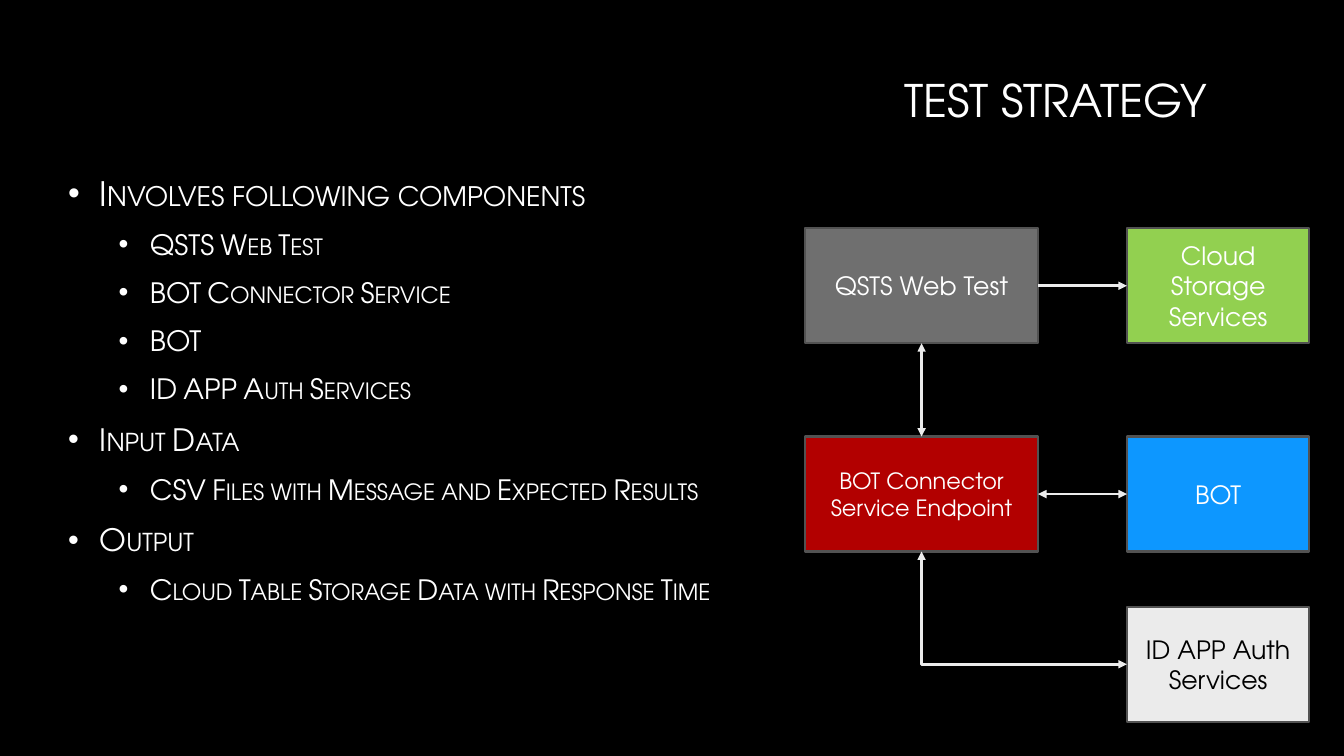
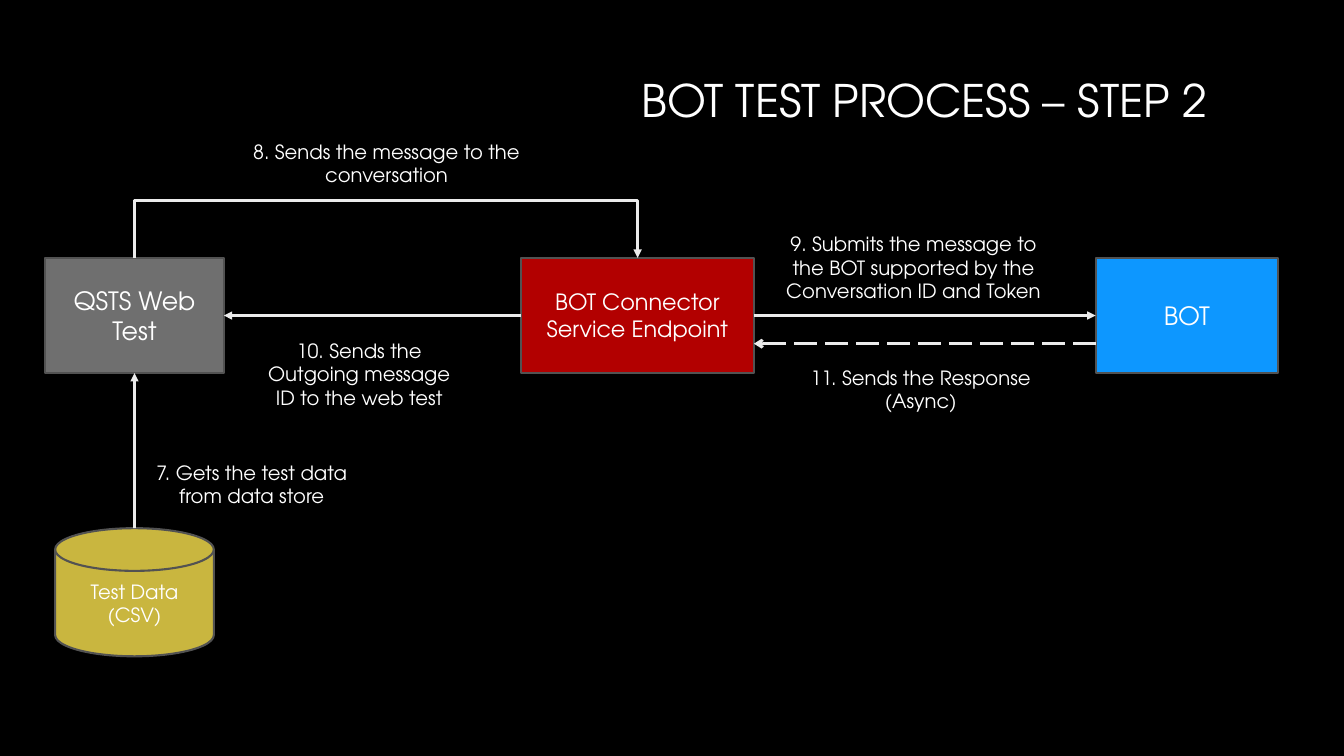
"""Build two slides on testing a bot: the strategy and step 2 of the process."""
from lxml import etree
from pptx import Presentation
from pptx import util as u
from pptx.dml import color
from pptx.enum import dml, shapes, text
from pptx.oxml import ns

WHITE, BLACK, PALE, EDGE = "FFFFFF", "000000", "EBEBEB", "525252"
GREY, RED, BLUE, GREEN, GOLD = "6F6F6F", "B20000", "0D97FF", "92D050", "C9B63F"
RECT = shapes.MSO_SHAPE.RECTANGLE
DISK = shapes.MSO_SHAPE.FLOWCHART_MAGNETIC_DISK
STRAIGHT, ELBOW = shapes.MSO_CONNECTOR.STRAIGHT, shapes.MSO_CONNECTOR.ELBOW
CENTER, MIDDLE = text.PP_ALIGN.CENTER, text.MSO_ANCHOR.MIDDLE
TOP, LEFT, BOTTOM, RIGHT = range(4)
ONE_WAY = {"tailEnd": "triangle"}
TWO_WAY = {"headEnd": "triangle", "tailEnd": "triangle"}
rgb = color.RGBColor.from_string


def add_block(slide, place, lines, size, fill=None, ink=WHITE, kind=RECT,
              align=CENTER, anchor=text.MSO_ANCHOR.TOP):
    """Add a text box, or a filled and outlined shape when a fill is given."""
    area = [u.Cm(length) for length in place]
    if fill:
        block = slide.shapes.add_shape(kind, *area)
        block.shadow.inherit = False
        block.fill.solid()
        block.fill.fore_color.rgb = rgb(fill)
        block.line.color.rgb = rgb(EDGE)
        block.line.width = u.Pt(1.5)
        anchor = MIDDLE
    else:
        block = slide.shapes.add_textbox(*area)
    frame = block.text_frame
    frame.word_wrap = True
    frame.vertical_anchor = anchor
    frame.text = "\n".join(lines)
    for paragraph in frame.paragraphs:
        paragraph.alignment = align
        font = paragraph.runs[0].font
        for name, value in {"name": "TeX Gyre Adventor", "size": u.Pt(size)}.items():
            setattr(font, name, value)
        font.color.rgb = rgb(ink)
    return block


def style_arrow(arrow, ends, dash=None):
    """Give a connector or an open outline its colour, dash and arrowheads."""
    arrow.line.color.rgb = rgb(PALE)
    for name, value in {"width": u.Pt(2), "dash_style": dash}.items():
        setattr(arrow.line, name, value)
    properties = arrow.element.spPr
    outline = properties.find(ns.qn("a:ln"))
    for end, head in ends.items():
        etree.SubElement(outline, ns.qn(f"a:{end}"), type=head)
    etree.SubElement(properties, ns.qn("a:effectLst"))


prs = Presentation()
prs.slide_width, prs.slide_height = u.Cm(33.87), u.Cm(19.05)
backdrop = prs.slide_master.background.fill
backdrop.solid()
backdrop.fore_color.rgb = rgb(BLACK)

strategy, process = [prs.slides.add_slide(prs.slide_layouts[6]) for _ in range(2)]
for slide, title in [(strategy, "TEST STRATEGY"), (process, "BOT TEST PROCESS – STEP 2")]:
    add_block(slide, (3.18, 1.7, 27.5, 2.62), [title], 32, align=text.PP_ALIGN.RIGHT)

outline_points = [
    (0, 24, "Involves following components"),
    (1, 20, "QSTS Web Test"),
    (1, 20, "BOT Connector Service"),
    (1, 20, "BOT"),
    (1, 20, "ID APP Auth Services"),
    (0, 22, "Input Data"),
    (1, 20, "CSV Files with Message and Expected Results"),
    (0, 22, "Output"),
    (1, 20, "Cloud Table Storage Data with Response Time"),
]
components = add_block(strategy, (1.47, 4.22, 18, 11.18),
                       [point for _, _, point in outline_points], 20,
                       align=text.PP_ALIGN.LEFT, anchor=MIDDLE)
for paragraph, (level, size, _) in zip(components.text_frame.paragraphs, outline_points):
    for name, value in {"level": level, "space_before": u.Pt(0.22 * size),
                        "space_after": u.Pt(6)}.items():
        setattr(paragraph, name, value)
    run = paragraph.runs[0]
    run.font.size = u.Pt(size)
    run.font._element.set("cap", "small")
    indents = paragraph._p.get_or_add_pPr()
    indents.set("marL", str(u.Cm(0.79 + 1.27 * level)))
    indents.set("indent", str(u.Cm(-0.79)))
    etree.SubElement(indents, ns.qn("a:buFont"), typeface="Arial")
    etree.SubElement(indents, ns.qn("a:buChar"), char="•")

BOX_HEIGHT = 2.9
near, far = (20.29, 5.87), (28.4, 4.6)
strategy_boxes = {
    "web test": (near, 5.75, "QSTS Web Test", 18, GREY, WHITE),
    "endpoint": (near, 11, "BOT Connector Service Endpoint", 16, RED, WHITE),
    "bot": (far, 11, "BOT", 18, BLUE, WHITE),
    "auth": (far, 15.29, "ID APP Auth Services", 18, PALE, BLACK),
    "storage": (far, 5.75, "Cloud Storage Services", 18, GREEN, WHITE),
}
row_top = 6.5
process_boxes = {
    "web test": ((1.14, 4.5), row_top, "QSTS Web Test", 18, GREY, WHITE),
    "endpoint": ((13.13, 5.87), row_top, "BOT Connector Service Endpoint", 16, RED, WHITE),
    "bot": ((27.61, 4.6), row_top, "BOT", 18, BLUE, WHITE),
}
strategy_links = [
    (STRAIGHT, "web test", RIGHT, "storage", LEFT, ONE_WAY),
    (STRAIGHT, "web test", BOTTOM, "endpoint", TOP, TWO_WAY),
    (STRAIGHT, "endpoint", RIGHT, "bot", LEFT, TWO_WAY),
    (ELBOW, "auth", LEFT, "endpoint", BOTTOM, TWO_WAY),
]
process_links = [
    (STRAIGHT, "endpoint", RIGHT, "bot", LEFT, ONE_WAY),
    (STRAIGHT, "endpoint", LEFT, "web test", RIGHT, ONE_WAY),
]
for slide, boxes, links in [(strategy, strategy_boxes, strategy_links),
                            (process, process_boxes, process_links)]:
    nodes = {}
    for key, ((left, width), top, label, size, fill, ink) in boxes.items():
        nodes[key] = add_block(slide, (left, top, width, BOX_HEIGHT), [label], size, fill, ink)
    for kind, source, source_side, target, target_side, ends in links:
        link = slide.shapes.add_connector(kind, 0, 0, 0, 0)
        link.begin_connect(nodes[source], source_side)
        link.end_connect(nodes[target], target_side)
        if kind == ELBOW:
            link.element.spPr.find(ns.qn("a:prstGeom")).set("prst", "bentConnector2")
        style_arrow(link, ends)

web_test_x, endpoint_x, store_top = 3.39, 16.07, 13.31
add_block(process, (web_test_x - 2, store_top, 4, 3.23), ["Test Data (CSV)"], 14, GOLD, kind=DISK)

data_feed = process.shapes.add_connector(
    STRAIGHT, u.Cm(web_test_x), u.Cm(store_top), u.Cm(web_test_x), u.Cm(row_top + BOX_HEIGHT))
data_feed.end_connect(nodes["web test"], BOTTOM)
style_arrow(data_feed, ONE_WAY)

response = process.shapes.add_connector(
    STRAIGHT, u.Cm(27.61), u.Cm(8.66), u.Cm(19), u.Cm(8.66))
style_arrow(response, {"tailEnd": "arrow"}, dml.MSO_LINE.LONG_DASH)

message_route = process.shapes.build_freeform(u.Cm(web_test_x), u.Cm(row_top))
message_route.add_line_segments(
    [(u.Cm(x), u.Cm(y)) for x, y in
     [(web_test_x, 5.05), (endpoint_x, 5.05), (endpoint_x, row_top)]], close=False)
message = message_route.convert_to_shape()
message.fill.background()
style_arrow(message, ONE_WAY)

step_labels = [
    ((3.12, 11.48, 6.45, 1.45), "7. Gets the test data from data store"),
    ((6.05, 3.4, 7.39, 1.45), "8. Sends the message to the conversation"),
    ((19.33, 5.72, 7.39, 2.06),
     "9. Submits the message to the BOT supported by the Conversation ID and Token"),
    ((6.45, 8.41, 5.21, 2.06), "10. Sends the Outgoing message ID to the web test"),
    ((19.51, 9.09, 7.39, 1.45), "11. Sends the Response (Async)"),
]
for place, label in step_labels:
    add_block(process, place, [label], 14)

prs.save("out.pptx")
